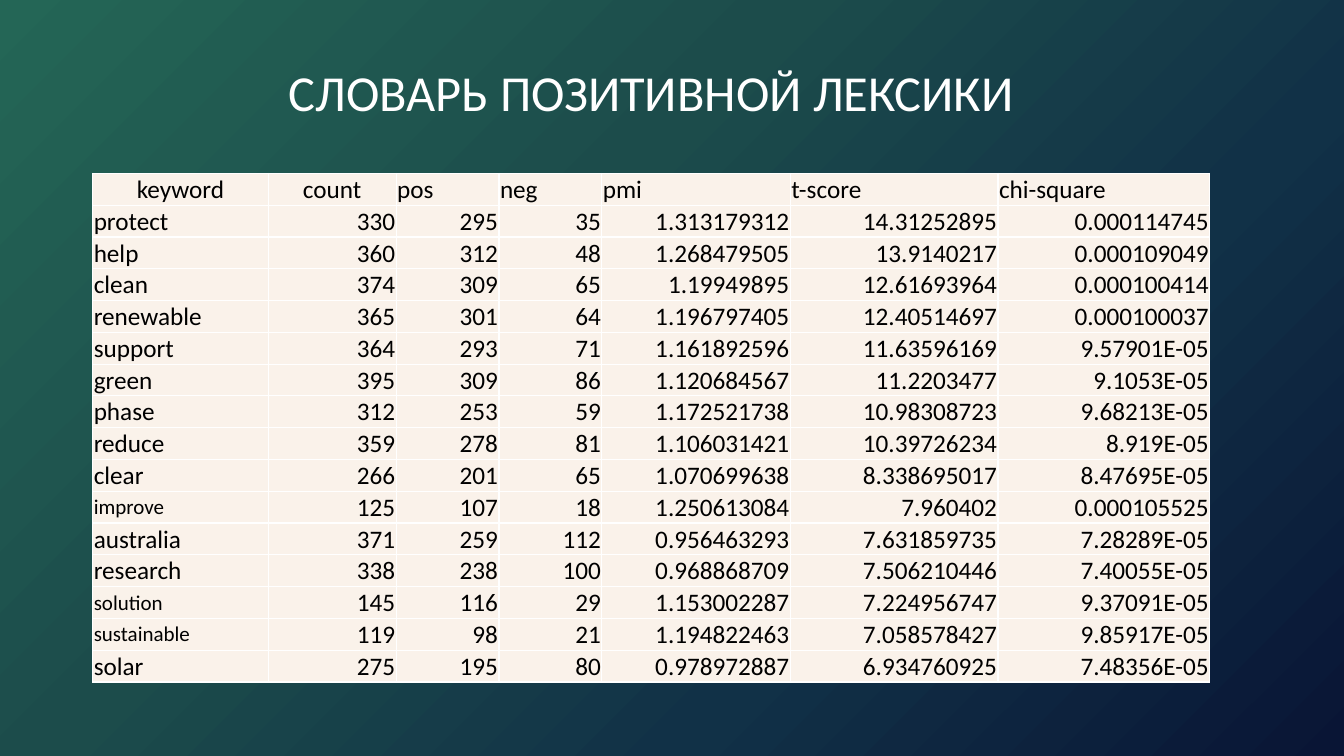
import dataclasses

import lxml.etree
import pptx
import pptx.dml.color
import pptx.enum.text
import pptx.oxml.ns
import pptx.util

Inches = pptx.util.Inches
Pt = pptx.util.Pt
RGB = pptx.dml.color.RGBColor.from_string
Align = pptx.enum.text.PP_ALIGN
Anchor = pptx.enum.text.MSO_ANCHOR
qn = pptx.oxml.ns.qn


@dataclasses.dataclass(frozen=True)
class Theme:
    font: str = "Calibri"
    white: str = "FFFFFF"
    black: str = "000000"
    cream: str = "FAF2EA"
    stops: tuple = ((0, "246656"), (38, "1C4C4B"), (68, "113147"), (100, "091535"))
    title: int = 36
    body: int = 18
    small: int = 15
    rule: int = 1


THEME = Theme()
WIDTHS = (1.74, 1.27, 1.02, 1.02, 1.87, 2.06, 2.1)
SMALL = {"improve", "solution", "sustainable"}
ROWS = (
    ("keyword", "count", "pos", "neg", "pmi", "t-score", "chi-square"),
    ("protect", "330", "295", "35", "1.313179312", "14.31252895", "0.000114745"),
    ("help", "360", "312", "48", "1.268479505", "13.9140217", "0.000109049"),
    ("clean", "374", "309", "65", "1.19949895", "12.61693964", "0.000100414"),
    ("renewable", "365", "301", "64", "1.196797405", "12.40514697", "0.000100037"),
    ("support", "364", "293", "71", "1.161892596", "11.63596169", "9.57901E-05"),
    ("green", "395", "309", "86", "1.120684567", "11.2203477", "9.1053E-05"),
    ("phase", "312", "253", "59", "1.172521738", "10.98308723", "9.68213E-05"),
    ("reduce", "359", "278", "81", "1.106031421", "10.39726234", "8.919E-05"),
    ("clear", "266", "201", "65", "1.070699638", "8.338695017", "8.47695E-05"),
    ("improve", "125", "107", "18", "1.250613084", "7.960402", "0.000105525"),
    ("australia", "371", "259", "112", "0.956463293", "7.631859735", "7.28289E-05"),
    ("research", "338", "238", "100", "0.968868709", "7.506210446", "7.40055E-05"),
    ("solution", "145", "116", "29", "1.153002287", "7.224956747", "9.37091E-05"),
    ("sustainable", "119", "98", "21", "1.194822463", "7.058578427", "9.85917E-05"),
    ("solar", "275", "195", "80", "0.978972887", "6.934760925", "7.48356E-05"),
)


def style(para, size, color, align):
    para.alignment = align
    for run in para.runs:
        run.font.name = THEME.font
        run.font.size = Pt(size)
        run.font.color.rgb = RGB(color)


def paint(slide):
    """Fill the background with the diagonal theme gradient."""
    fill = slide.background.fill
    fill.gradient()
    fill.gradient_angle = 315
    stops = slide.element.find(".//" + qn("a:gsLst"))
    for stop in list(stops):
        stops.remove(stop)
    for place, color in THEME.stops:
        stop = lxml.etree.SubElement(stops, qn("a:gs"), pos=str(place * 1000))
        lxml.etree.SubElement(stop, qn("a:srgbClr"), val=color)


def add_title(slide, text, left, top, width, height):
    title = slide.shapes.title
    title.left, title.top = Inches(left), Inches(top)
    title.width, title.height = Inches(width), Inches(height)
    frame = title.text_frame
    frame.text = text
    frame.word_wrap = True
    frame.vertical_anchor = Anchor.MIDDLE
    frame.margin_bottom = Inches(0.57)
    style(frame.paragraphs[0], THEME.title, THEME.white, Align.CENTER)


def add_rules(cell):
    """Draw a thin line on all four sides of the cell."""
    props = cell._tc.get_or_add_tcPr()
    for side in ("lnL", "lnR", "lnT", "lnB"):
        line = lxml.etree.SubElement(props, qn("a:" + side), w=str(Pt(THEME.rule)))
        fill = lxml.etree.SubElement(line, qn("a:solidFill"))
        lxml.etree.SubElement(fill, qn("a:srgbClr"), val=THEME.white)


def fill_cell(cell, text, row, col):
    add_rules(cell)
    cell.fill.solid()
    cell.fill.fore_color.rgb = RGB(THEME.cream)
    cell.margin_left = cell.margin_right = cell.margin_top = Inches(0.01)
    cell.margin_bottom = 0
    small = text in SMALL
    lead = row == 0 and col < 2
    if lead:
        cell.vertical_anchor = Anchor.TOP
        align = Align.CENTER
    else:
        cell.vertical_anchor = Anchor.MIDDLE if small else Anchor.BOTTOM
        align = Align.RIGHT if row and col else Align.LEFT
    cell.text_frame.text = text
    size = THEME.small if small else THEME.body
    style(cell.text_frame.paragraphs[0], size, THEME.black, align)


def add_words(slide, left, top, width, height):
    frame = slide.shapes.add_table(
        len(ROWS), len(WIDTHS), Inches(left), Inches(top), Inches(width), Inches(height)
    )
    table = frame.table
    table.first_row = table.horz_banding = False
    for column, share in zip(table.columns, WIDTHS):
        column.width = Inches(width * share / sum(WIDTHS))
    for r, values in enumerate(ROWS):
        table.rows[r].height = Inches(height / len(ROWS))
        for c, text in enumerate(values):
            fill_cell(table.cell(r, c), text, r, c)


def main():
    deck = pptx.Presentation()
    deck.slide_width, deck.slide_height = Inches(13.33), Inches(7.5)
    slide = deck.slides.add_slide(deck.slide_layouts.get_by_name("Title Only"))
    paint(slide)
    add_title(slide, "СЛОВАРЬ ПОЗИТИВНОЙ ЛЕКСИКИ", 0.92, 0.37, 11.08, 1.59)
    add_words(slide, 0.92, 1.72, 11.08, 5.02)
    deck.save("out.pptx")


if __name__ == "__main__":
    main()
